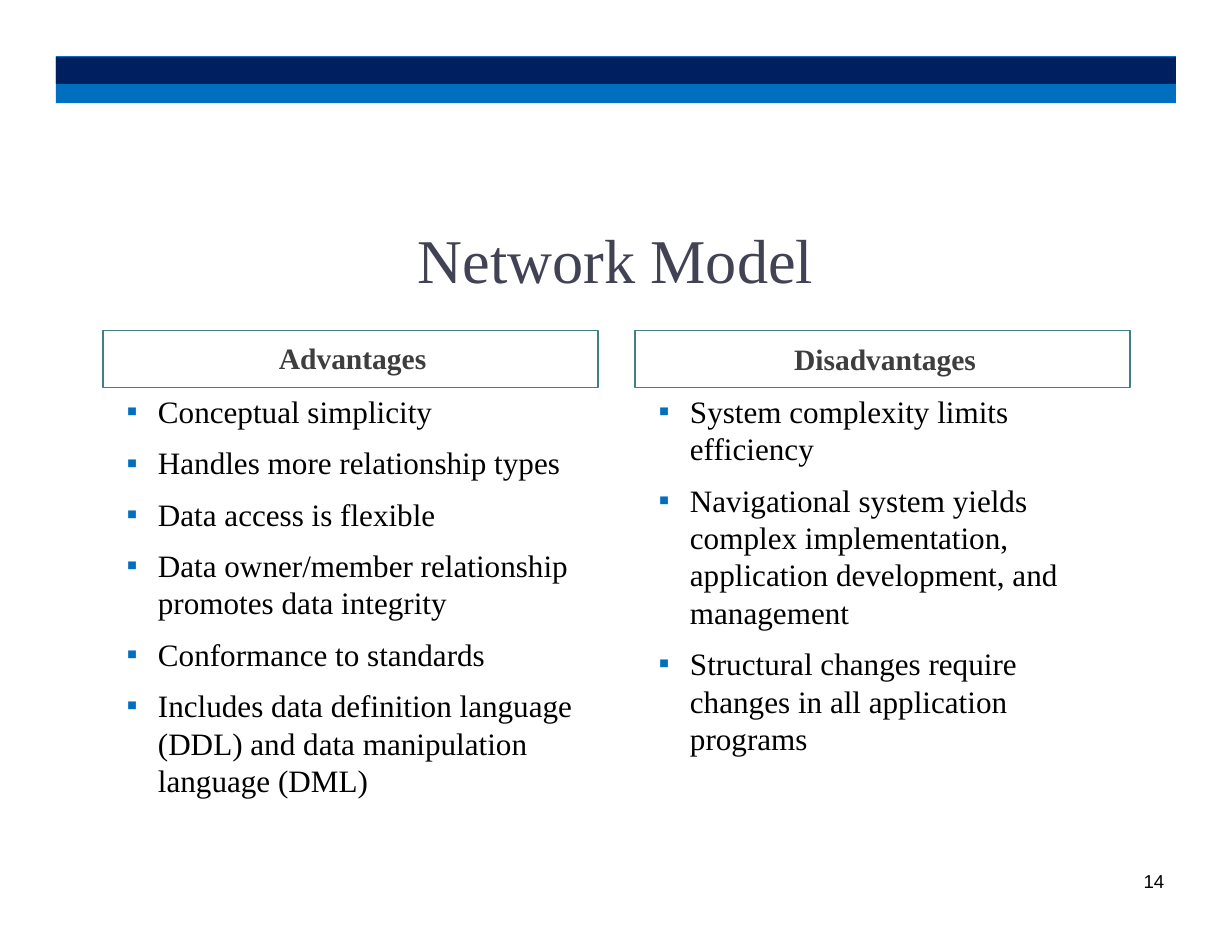
import pptx
import pptx.dml.color
import pptx.enum.shapes
import pptx.enum.text
import pptx.oxml
import pptx.oxml.ns
import pptx.util
from pptx.util import Inches

COLORS = {
    "navy": "001F5F",
    "blue": "006FBF",
    "bullet": "006FC0",
    "teal": "427F85",
    "title": "414355",
    "heading": "3E3E3E",
    "black": "000000",
}
BULLET_INDENT = Inches(0.28)


def write_text(paragraph, text, size=20, color="black", font="Times New Roman",
               bold=False, indent=0, space_before=0, bullet=False):
    properties = paragraph._p.get_or_add_pPr()
    properties.set("marL", str(Inches(indent)))
    properties.set("indent", str(-BULLET_INDENT if bullet else 0))
    if bullet:
        namespace = pptx.oxml.ns.nsdecls("a")
        for element in (
            f'<a:buClr {namespace}><a:srgbClr val="{COLORS["bullet"]}"/></a:buClr>',
            f'<a:buFont {namespace} typeface="Arial"/>',
            f'<a:buChar {namespace} char="▪"/>',
        ):
            properties.append(pptx.oxml.parse_xml(element))
    paragraph.alignment = pptx.enum.text.PP_ALIGN.LEFT
    paragraph.space_before = pptx.util.Pt(space_before)
    run = paragraph.add_run()
    run.text = text
    run.font.name = font
    run.font.size = pptx.util.Pt(size)
    run.font.bold = bold
    run.font.color.rgb = pptx.dml.color.RGBColor.from_string(COLORS[color])


def prepare_frame(shape, top_inset=0):
    """Clear the insets and anchor wrapped text at the top."""
    frame = shape.text_frame
    frame.margin_left = frame.margin_right = frame.margin_bottom = 0
    frame.margin_top = Inches(top_inset)
    frame.word_wrap = True
    frame.auto_size = pptx.enum.text.MSO_AUTO_SIZE.NONE
    frame.vertical_anchor = pptx.enum.text.MSO_ANCHOR.TOP
    return frame


presentation = pptx.Presentation()
presentation.slide_width = Inches(11)
presentation.slide_height = Inches(8.5)
slide = presentation.slides.add_slide(presentation.slide_layouts[5])
rectangle = pptx.enum.shapes.MSO_SHAPE.RECTANGLE

# Banner: a blue band with a navy band over its upper part
for top, height, color in [(0.5, 0.42, "blue"), (0.51, 0.24, "navy")]:
    band = slide.shapes.add_shape(
        rectangle, Inches(0.5), Inches(top), Inches(10), Inches(height))
    band.shadow.inherit = False
    band.fill.solid()
    band.fill.fore_color.rgb = pptx.dml.color.RGBColor.from_string(COLORS[color])
    band.line.fill.background()

title = slide.shapes.title
title.left, title.top = Inches(3.72), Inches(1.97)
title.width, title.height = Inches(3.56), Inches(0.69)
write_text(prepare_frame(title, 0.01).paragraphs[0], "Network Model",
           size=40, color="title", indent=0.01)

# Each column: frame left, text left, width and height, heading indent, texts
columns = [
    (0.92, 1.12, 4, 4.26, 1.37, "Advantages", [
        "Conceptual simplicity",
        "Handles more relationship types",
        "Data access is flexible",
        "Data owner/member relationship promotes data integrity",
        "Conformance to standards",
        "Includes data definition language (DDL) and data manipulation "
        "language (DML)",
    ]),
    (5.67, 5.87, 3.58, 3.88, 1.22, "Disadvantages", [
        "System complexity limits efficiency",
        "Navigational system yields complex implementation, "
        "application development, and management",
        "Structural changes require changes in all application programs",
    ]),
]
for frame_left, left, width, height, heading_indent, heading, points in columns:
    outline = slide.shapes.add_shape(
        rectangle, Inches(frame_left), Inches(2.95), Inches(4.42), Inches(0.51))
    outline.shadow.inherit = False
    outline.fill.background()
    outline.line.color.rgb = pptx.dml.color.RGBColor.from_string(COLORS["teal"])
    outline.line.width = pptx.util.Pt(1)

    box = slide.shapes.add_textbox(
        Inches(left), Inches(2.89), Inches(width), Inches(height))
    frame = prepare_frame(box, 0.15)
    write_text(frame.paragraphs[0], heading, size=19, color="heading",
               bold=True, indent=heading_indent)
    for index, point in enumerate(points):
        write_text(frame.add_paragraph(), point, indent=0.29, bullet=True,
                   space_before=9 if index else 10.6)

number = slide.shapes.add_textbox(
    Inches(10.17), Inches(7.77), Inches(0.27), Inches(0.19))
write_text(prepare_frame(number).paragraphs[0], "14",
           size=12, font="Arial", indent=0.04)

presentation.save("out.pptx")
